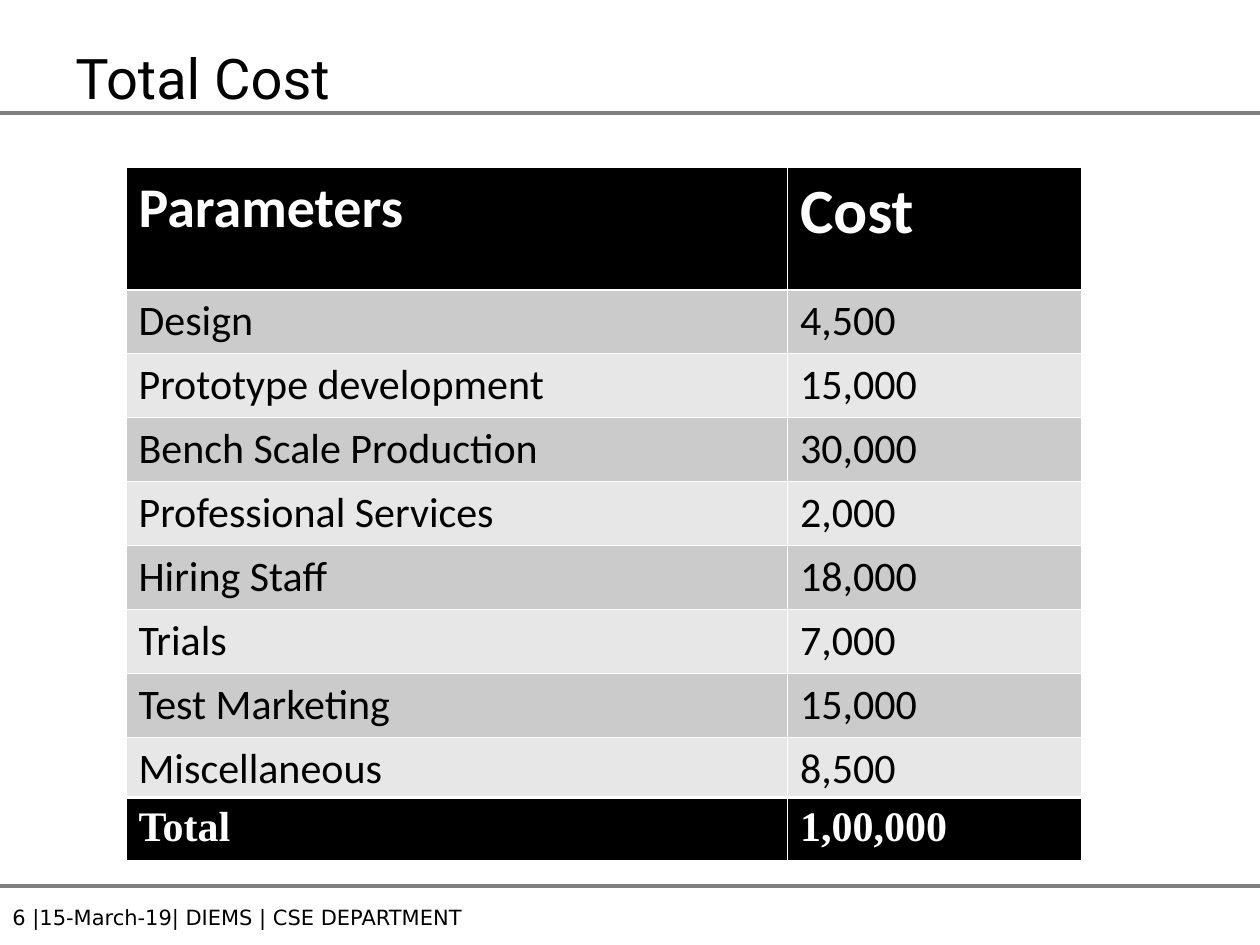
from lxml import etree
from pptx import Presentation
from pptx import util as u
from pptx.dml.color import RGBColor
from pptx.enum import shapes, text
from pptx.oxml import ns

# Content
TITLE = "Total Cost"
FOOT = "6 |15-March-19| DIEMS | CSE DEPARTMENT"
HEAD = ("Parameters", "Cost")
COSTS = [
    ("Design", "4,500"),
    ("Prototype development", "15,000"),
    ("Bench Scale Production", "30,000"),
    ("Professional Services", "2,000"),
    ("Hiring Staff", "18,000"),
    ("Trials", "7,000"),
    ("Test Marketing", "15,000"),
    ("Miscellaneous", "8,500"),
]
TOTAL = ("Total", "1,00,000")

# Theme: each type style is font, size, colour, bold
THEME = {
    "title": ("Roboto", 32, "000000", False),
    "foot": ("DejaVu Sans", 12, "000000", False),
    "head": ("Calibri", 32, "FFFFFF", True),
    "cost": ("Calibri", 36, "FFFFFF", True),
    "body": ("Calibri", 24, "000000", False),
    "total": ("Times New Roman", 24, "FFFFFF", True),
    "dark": "000000",
    "bands": ("CBCBCB", "E7E7E7"),
    "rule": "7F7F7F",
    "edge": "FFFFFF",
}
THIN, THICK = 0.45, 1.47

# Layout
LEFT, TOP, BASE = 1, 1.33, 6.33
COLS = (5.25, 2.33)
HEAD_H, BODY_H, TOTAL_H = 0.97, 4.06, 0.5


def style(frame, key):
    name, size, color, bold = THEME[key]
    for run in frame.paragraphs[0].runs:
        font = run.font
        font.name, font.size, font.bold = name, u.Pt(size), bold
        font.color.rgb = RGBColor.from_string(color)


def add_text(slide, words, key, box):
    frame = slide.shapes.add_textbox(*map(u.Inches, box)).text_frame
    frame.word_wrap = True
    frame.vertical_anchor = text.MSO_ANCHOR.TOP
    frame.text = words
    style(frame, key)


def add_rule(slide, y):
    line = slide.shapes.add_connector(
        shapes.MSO_CONNECTOR.STRAIGHT, 0, u.Inches(y), u.Inches(10), u.Inches(y))
    line.line.color.rgb = RGBColor.from_string(THEME["rule"])
    line.line.width = u.Pt(2.25)
    etree.SubElement(line._element.spPr, ns.qn("a:effectLst"))


def add_edges(cell, top, base):
    props = cell._tc.get_or_add_tcPr()
    for i, (side, width) in enumerate(
            [("L", THIN), ("R", THIN), ("T", top), ("B", base)]):
        edge = etree.Element(ns.qn("a:ln" + side), w=str(u.Pt(width)))
        fill = etree.SubElement(edge, ns.qn("a:solidFill"))
        etree.SubElement(fill, ns.qn("a:srgbClr"), val=THEME["edge"])
        props.insert(i, edge)


def add_table(slide, top, rows):
    """Each row holds words, styles, fill, height, top edge and bottom edge."""
    high = sum(row[3] for row in rows)
    table = slide.shapes.add_table(
        len(rows), len(COLS), *map(u.Inches, (LEFT, top, sum(COLS), high))).table
    for col, width in zip(table.columns, COLS):
        col.width = u.Inches(width)
    for line, (words, keys, fill, height, over, under) in zip(table.rows, rows):
        line.height = u.Inches(height)
        for cell, word, key in zip(line.cells, words, keys):
            cell.text_frame.text = word
            style(cell.text_frame, key)
            cell.fill.solid()
            cell.fill.fore_color.rgb = RGBColor.from_string(fill)
            add_edges(cell, over, under)


def main():
    deck = Presentation()
    deck.slide_width, deck.slide_height = u.Inches(10), u.Inches(7.5)
    slide = deck.slides.add_slide(deck.slide_layouts[6])

    # Footer, rules and title
    add_text(slide, FOOT, "foot", (0, 7.13, 5.01, 0.23))
    for y in (0.9, 7.03):
        add_rule(slide, y)
    add_text(slide, TITLE, "title", (0.5, 0.3, 8.33, 0.53))

    # Cost table with banded rows
    rows = [(HEAD, ("head", "cost"), THEME["dark"], HEAD_H, THIN, THICK)]
    for i, pair in enumerate(COSTS):
        rows.append((pair, ("body", "body"), THEME["bands"][i % 2],
                     BODY_H / len(COSTS), THIN if i else THICK, THIN))
    add_table(slide, TOP, rows)

    # Total table
    add_table(slide, BASE, [
        (TOTAL, ("total", "total"), THEME["dark"], TOTAL_H, THICK, THIN)])

    deck.save("out.pptx")


if __name__ == "__main__":
    main()
